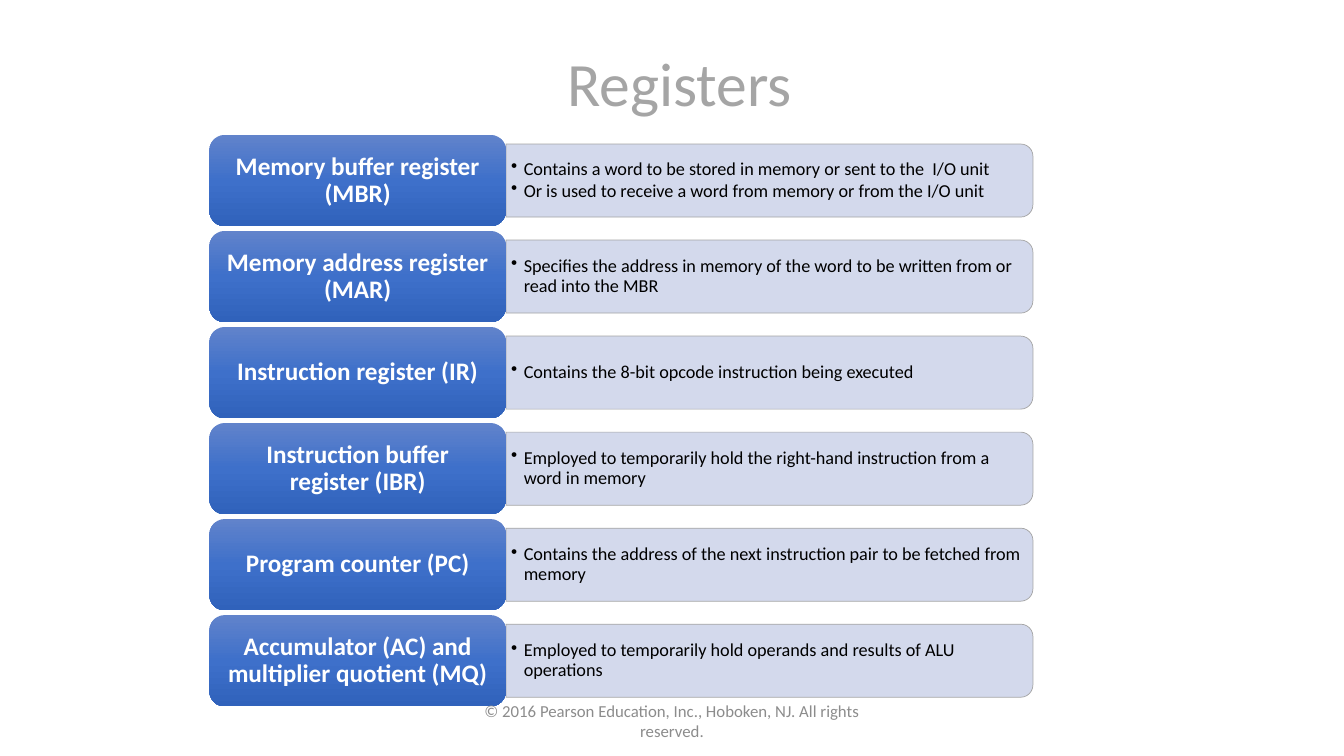
"""Build the Registers slide: six register names, each with its description."""
from copy import deepcopy

from lxml import etree
from pptx import Presentation
from pptx.dml.color import RGBColor
from pptx.enum.shapes import MSO_SHAPE
from pptx.enum.text import MSO_ANCHOR, PP_ALIGN
from pptx.oxml.ns import qn
from pptx.util import Cm, Pt

ROUNDED = MSO_SHAPE.ROUNDED_RECTANGLE
ROUNDED_END = MSO_SHAPE.ROUND_2_SAME_RECTANGLE
MIDDLE = MSO_ANCHOR.MIDDLE
LEFT, CENTER, RIGHT = PP_ALIGN.LEFT, PP_ALIGN.CENTER, PP_ALIGN.RIGHT

THEME = {
    "panel": RGBColor.from_string("CFD5EA"),
    "panel_line": RGBColor.from_string("A5A5A5"),
    "label_stops": [(0, "6183CB"), (0.5, "3E70CA"), (1, "3062BB")],
    "title": {"size": Pt(44), "color": "A5A5A5"},
    "label": {"size": Pt(18), "color": "FFFFFF", "bold": True},
    "detail": {"size": Pt(13), "color": "000000"},
    "footer": {"size": Pt(12), "color": "8C8C8C"},
    "font": "Calibri",
}

REGISTERS = [
    ("Memory buffer register (MBR)",
     ["Contains a word to be stored in memory or sent to the  I/O unit",
      "Or is used to receive a word from memory or from the I/O unit"]),
    ("Memory address register (MAR)",
     ["Specifies the address in memory of the word to be written from or read into the MBR"]),
    ("Instruction register (IR)",
     ["Contains the 8-bit opcode instruction being executed"]),
    ("Instruction buffer register (IBR)",
     ["Employed to temporarily hold the right-hand instruction from a word in memory"]),
    ("Program counter (PC)",
     ["Contains the address of the next instruction pair to be fetched from memory"]),
    ("Accumulator (AC) and multiplier quotient (MQ)",
     ["Employed to temporarily hold operands and results of ALU operations"]),
]

LABEL_LEFT, LABEL_WIDTH, LABEL_HEIGHT = Cm(5.28), Cm(7.47), Cm(2.3)
FIRST_TOP, PITCH = Cm(3.4), Cm(2.42)
PANEL_LEFT, PANEL_WIDTH, PANEL_HEIGHT = LABEL_LEFT + LABEL_WIDTH, Cm(13.28), Cm(1.84)
DETAIL_WIDTH, DETAIL_HEIGHT = Cm(13.18), Cm(1.66)


def write(shape, lines, role, align, insets, spacing=0.9, after=0, bullet=False):
    """Fill a shape with paragraphs in the style of one theme role."""
    frame = shape.text_frame
    frame_format = {
        "word_wrap": True, "vertical_anchor": MIDDLE,
        "margin_left": insets[0], "margin_right": insets[0],
        "margin_top": insets[1], "margin_bottom": insets[1],
    }
    for name, value in frame_format.items():
        setattr(frame, name, value)
    for index, line in enumerate(lines):
        paragraph = frame.add_paragraph() if index else frame.paragraphs[0]
        paragraph.text = line
        paragraph_format = {"alignment": align, "line_spacing": spacing, "space_after": Pt(after)}
        for name, value in paragraph_format.items():
            setattr(paragraph, name, value)
        if bullet:
            properties = paragraph._p.get_or_add_pPr()
            properties.set("marL", str(Cm(0.32)))
            properties.set("indent", str(-Cm(0.32)))
            etree.SubElement(properties, qn("a:buChar"), char="•")
        font = paragraph.runs[0].font
        font.name = THEME["font"]
        for name, value in THEME[role].items():
            if name == "color":
                font.color.rgb = RGBColor.from_string(value)
            else:
                setattr(font, name, value)


presentation = Presentation()
presentation.slide_width, presentation.slide_height = Cm(33.87), Cm(19.05)
slide = presentation.slides.add_slide(presentation.slide_layouts[6])
shapes = slide.shapes

title = shapes.add_textbox(Cm(4.23), Cm(0.64), Cm(15.98), Cm(3.1))
write(title, ["Registers"], "title", RIGHT, (Cm(0.25), Cm(0.13)))

for row, (register, details) in enumerate(REGISTERS):
    label_top = FIRST_TOP + row * PITCH
    middle = label_top + LABEL_HEIGHT // 2

    panel = shapes.add_shape(
        ROUNDED_END,
        PANEL_LEFT + (PANEL_WIDTH - PANEL_HEIGHT) // 2, middle - PANEL_WIDTH // 2,
        PANEL_HEIGHT, PANEL_WIDTH)
    panel.rotation = 90
    panel.shadow.inherit = False
    panel.fill.solid()
    panel.fill.fore_color.rgb = THEME["panel"]
    panel_color = panel._element.spPr.find(qn("a:solidFill"))[0]
    etree.SubElement(panel_color, qn("a:alpha"), val="90000")
    panel.line.color.rgb = THEME["panel_line"]
    panel.line.width = Pt(0.5)

    detail = shapes.add_textbox(PANEL_LEFT, middle - DETAIL_HEIGHT // 2, DETAIL_WIDTH, DETAIL_HEIGHT)
    write(detail, details, "detail", LEFT, (Cm(0.13), Cm(0.07)), after=2, bullet=True)

    label = shapes.add_shape(ROUNDED, LABEL_LEFT, label_top, LABEL_WIDTH, LABEL_HEIGHT)
    label.shadow.inherit = False
    label.line.fill.background()
    label.fill.gradient()
    label.fill.gradient_angle = 270
    stop_list = label._element.spPr.find(qn("a:gradFill")).find(qn("a:gsLst"))
    stop_list.append(deepcopy(stop_list[-1]))
    for stop, (position, color) in zip(label.fill.gradient_stops, THEME["label_stops"]):
        stop.position = position
        stop.color.rgb = RGBColor.from_string(color)
    write(label, [register], "label", CENTER, (Cm(0.29), Cm(0.2)))

footer = shapes.add_textbox(Cm(11.22), Cm(17.66), Cm(11.43), Cm(1.01))
write(footer, ["© 2016 Pearson Education, Inc., Hoboken, NJ. All rights reserved."],
      "footer", CENTER, (Cm(0.25), Cm(0.13)), spacing=1.0)

presentation.save("out.pptx")
